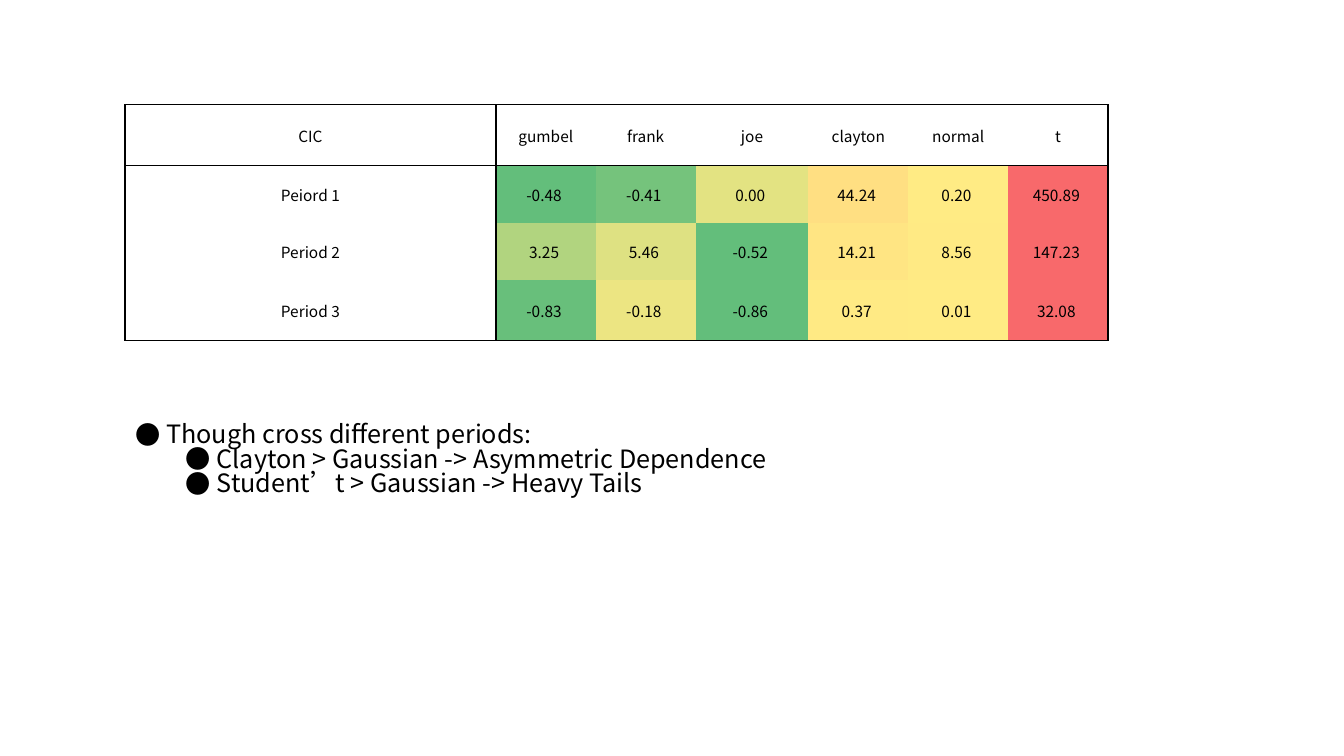
from pptx import Presentation
from pptx.dml.color import RGBColor
from pptx.enum.text import MSO_ANCHOR, MSO_AUTO_SIZE, PP_ALIGN
from pptx.oxml.ns import qn
from pptx.util import Inches, Pt
from lxml.etree import SubElement


def color(value):
    return RGBColor.from_string(value)


class Deck:
    font = "Noto Sans CJK SC"
    ink = "000000"
    line = 1

    def __init__(self, width, height):
        self.prs = Presentation()
        self.prs.slide_width, self.prs.slide_height = Inches(width), Inches(height)
        self.s = self.prs.slides.add_slide(self.prs.slide_layouts[1])
        title = self.s.shapes.title
        title.element.getparent().remove(title.element)

    def col(self, n):
        return round(self.prs.slide_width * n / 100)

    def row(self, n):
        return round(self.prs.slide_height * n / 100)

    def box(self, x, y, w, h):
        return self.col(x), self.row(y), self.col(w), self.row(h)

    def run(self, p, text, size):
        r = p.add_run()
        r.text = text
        r.font.size, r.font.name = Pt(size), self.font
        r.font.color.rgb = color(self.ink)
        SubElement(r.font._element, qn("a:ea"), typeface=self.font)

    def borders(self, cell, sides):
        tcPr = cell._tc.get_or_add_tcPr()
        for i, side in enumerate("LRTB"):
            ln = SubElement(tcPr, qn(f"a:ln{side}"), w=str(Pt(self.line)))
            if side in sides:
                fill = SubElement(ln, qn("a:solidFill"))
                SubElement(fill, qn("a:srgbClr"), val=self.ink)
            else:
                SubElement(ln, qn("a:noFill"))
            tcPr.insert(i, ln)

    def cell(self, cell, text, fill, sides):
        cell.margin_left = cell.margin_right = cell.margin_top = Inches(0.01)
        cell.margin_bottom = 0
        cell.vertical_anchor = MSO_ANCHOR.MIDDLE
        if fill:
            cell.fill.solid()
            cell.fill.fore_color.rgb = color(fill)
        else:
            cell.fill.background()
        self.borders(cell, sides)
        p = cell.text_frame.paragraphs[0]
        p.alignment = PP_ALIGN.CENTER
        self.run(p, text, 11)

    def table(self, x, y, widths, heights, header, body):
        frame = self.s.shapes.add_table(
            len(heights), len(widths), *self.box(x, y, sum(widths), sum(heights)))
        tbl = frame.table
        tbl.first_row = tbl.horz_banding = False
        for column, w in zip(tbl.columns, widths):
            column.width = self.col(w)
        for line, h in zip(tbl.rows, heights):
            line.height = self.row(h)
        rows = [[(name, None) for name in header]]
        rows += [[(label, None)] + [(f"{v:.2f} ", fill) for v, fill in values]
                 for label, values in body]
        last_row, last_col = len(heights) - 1, len(widths) - 1
        for i, line in enumerate(rows):
            for j, (text, fill) in enumerate(line):
                drawn = {"L": j in (0, 1), "R": j in (0, last_col),
                         "T": i in (0, 1), "B": i in (0, last_row)}
                sides = [side for side, on in drawn.items() if on]
                self.cell(tbl.cell(i, j), text, fill, sides)

    def bullets(self, x, y, w, h, items, size):
        sp = self.s.placeholders[1]
        sp.left, sp.top, sp.width, sp.height = self.box(x, y, w, h)
        tf = sp.text_frame
        tf.word_wrap = True
        tf.auto_size = MSO_AUTO_SIZE.SHAPE_TO_FIT_TEXT
        tf.margin_top = Inches(0.07)
        for i, (level, text) in enumerate(items):
            p = tf.add_paragraph() if i else tf.paragraphs[0]
            p.level = level
            p.space_before = p.space_after = Pt(0)
            p.line_spacing = 0.82
            pPr = p._p.get_or_add_pPr()
            pPr.set("marL", str(Inches(0.31 + 0.5 * level)))
            pPr.set("indent", str(Inches(-0.31)))
            SubElement(pPr, qn("a:buFont"), typeface=self.font)
            SubElement(pPr, qn("a:buChar"), char="●")
            self.run(p, text, size)


def main():
    deck = Deck(13.33, 7.5)
    deck.table(
        9.3, 13.87, [27.6, 7.43, 7.43, 8.4, 7.43, 7.43, 7.43], [8, 7.6, 7.6, 8],
        ["CIC", "gumbel", "frank", "joe", "clayton", "normal", "t"],
        [("Peiord 1", [(-0.48, "63BE7B"), (-0.41, "75C37C"), (0, "E3E382"),
                       (44.24, "FFDF82"), (0.2, "FFEB84"), (450.89, "F8696B")]),
         ("Period 2", [(3.25, "B1D47F"), (5.46, "DEE182"), (-0.52, "63BE7B"),
                       (14.21, "FFE583"), (8.56, "FFEA84"), (147.23, "F8696B")]),
         ("Period 3", [(-0.83, "68BF7B"), (-0.18, "ECE582"), (-0.86, "63BE7B"),
                       (0.37, "FFEA84"), (0.01, "FFEB84"), (32.08, "F8696B")])])
    deck.bullets(
        9.3, 55.07, 86.2, 13.47,
        [(0, "Though cross different periods:"),
         (1, "Clayton > Gaussian -> Asymmetric Dependence"),
         (1, "Student’t > Gaussian -> Heavy Tails")], 18)
    deck.prs.save("out.pptx")


if __name__ == "__main__":
    main()
